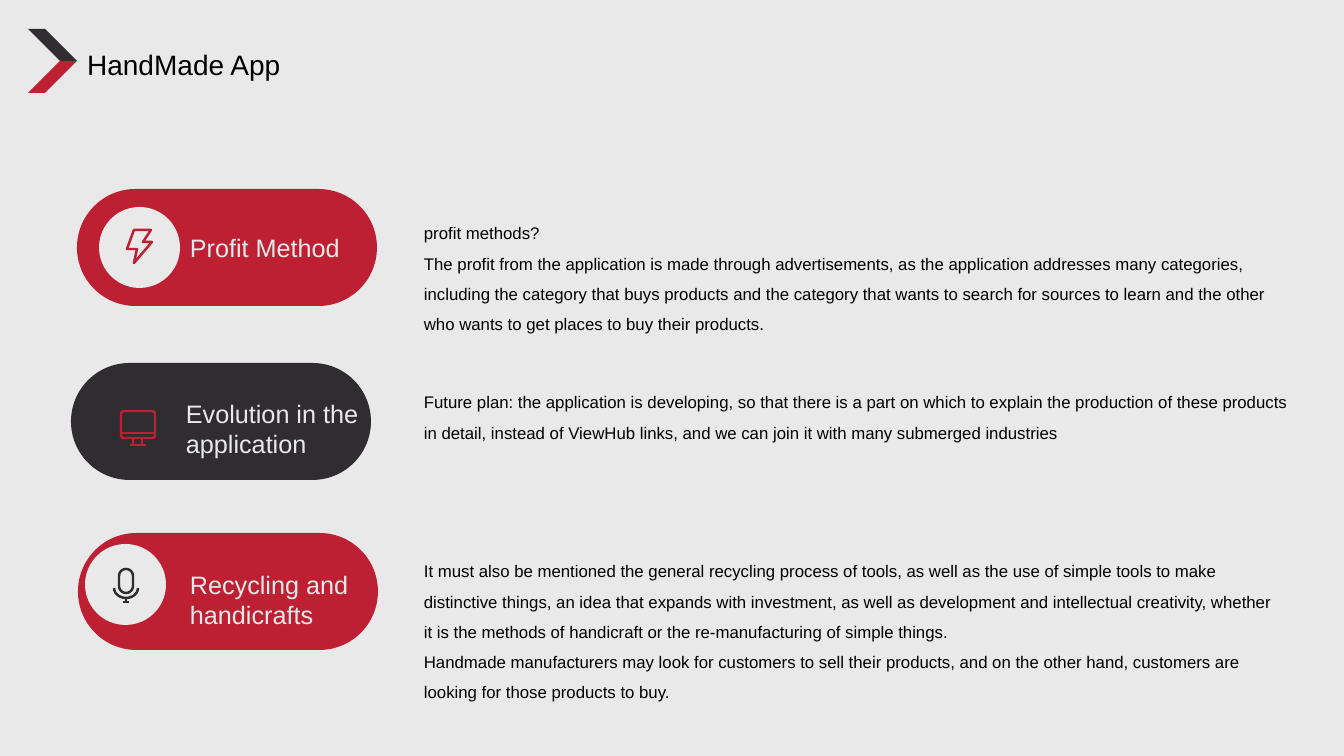
from math import cos, pi, sin

from pptx import Presentation
from pptx.dml.color import RGBColor
from pptx.enum.shapes import MSO_SHAPE
from pptx.enum.text import MSO_ANCHOR, MSO_AUTO_SIZE, PP_ALIGN
from pptx.util import Emu, Pt

PX = 914400 / 100.8
COLORS = {"paper": "E9E9E9", "red": "BE2033", "dark": "302D31", "black": "000000"}
PILL_SIZE = (300, 117)
DISC_SIZE = (81, 81)
BODY_LEFT = 414


def px(length):
    return Emu(round(length * PX))


def rgb(name):
    return RGBColor.from_string(COLORS[name])


def place(shape, box):
    shape.left, shape.top, shape.width, shape.height = map(px, box)


def write(shape, *paragraphs, size, color="black", spacing=1.0):
    frame = shape.text_frame
    frame.word_wrap = True
    frame.auto_size = MSO_AUTO_SIZE.NONE
    frame.vertical_anchor = MSO_ANCHOR.TOP
    for index, text in enumerate(paragraphs):
        paragraph = frame.add_paragraph() if index else frame.paragraphs[0]
        paragraph.alignment = PP_ALIGN.LEFT
        paragraph.line_spacing = spacing
        run = paragraph.add_run()
        run.text = text
        run.font.name = "Arial"
        run.font.size = Pt(size)
        run.font.color.rgb = rgb(color)


def add_text(slide, box, *paragraphs, **text_format):
    write(slide.shapes.add_textbox(*map(px, box)), *paragraphs, **text_format)


def fill_shape(shape, color):
    shape.shadow.inherit = False
    shape.fill.solid()
    shape.fill.fore_color.rgb = rgb(color)
    shape.line.fill.background()


def add_preset(slide, preset, box, color):
    shape = slide.shapes.add_shape(preset, *map(px, box))
    fill_shape(shape, color)
    return shape


def add_outline(slide, origin, contours):
    """Build one freeform from (points, closed) contours given relative to origin."""
    builder = None
    for points, closed in contours:
        start, *rest = [(px(origin[0] + x), px(origin[1] + y)) for x, y in points]
        if builder is None:
            builder = slide.shapes.build_freeform(*start)
        else:
            builder.move_to(*start)
        builder.add_line_segments(rest, close=closed)
    return builder.convert_to_shape()


def arc(center, radii, start, end, steps=12):
    """Points on an ellipse; angles in half turns, clockwise from the right."""
    angles = [pi * (start + (end - start) * step / steps) for step in range(steps + 1)]
    return [(center[0] + radii[0] * cos(a), center[1] + radii[1] * sin(a)) for a in angles]


def rounded(left, top, right, bottom, radius):
    corners = [(right - radius, bottom - radius), (left + radius, bottom - radius),
               (left + radius, top + radius), (right - radius, top + radius)]
    return [point for quarter, center in enumerate(corners)
            for point in arc(center, (radius, radius), quarter / 2, quarter / 2 + 0.5, 6)]


ICONS = {
    "bolt": [([(8, 1), (25, 1), (17, 13), (26, 13), (8, 34), (11, 20), (1, 20)], True)],
    "monitor": [
        (rounded(1, 1, 35, 28, 3), True),
        ([(1, 23), (35, 23)], False),
        ([(13, 28), (13, 35)], False),
        ([(22, 28), (22, 35)], False),
        ([(10, 35), (26, 35)], False),
    ],
    "microphone": [
        (rounded(6, 2, 20, 26, 7), True),
        (arc((13, 21), (12, 10), 0, 1), False),
        ([(13, 31), (13, 35)], False),
        ([(10, 35), (16, 35)], False),
    ],
}


def add_icon(slide, origin, name, color):
    icon = add_outline(slide, origin, ICONS[name])
    icon.shadow.inherit = False
    icon.fill.background()
    icon.line.color.rgb = rgb(color)
    icon.line.width = Pt(1.75)


def add_header(slide, left, top):
    upper = [(0, 0), (17, 0), (49, 32), (32, 32)]
    lower = [(x, 64 - y) for x, y in upper]
    for points, color in ((upper, "dark"), (lower, "red")):
        fill_shape(add_outline(slide, (left, top), [(points, True)]), color)
    title = slide.shapes.title
    place(title, (left + 49, top + 13, 328, 44))
    write(title, "HandMade App", size=20)


def add_topic(slide, left, top, *, color, caption, caption_box, icon, icon_at,
              icon_color, body, body_box, disc_at=None):
    """Draw a pill with its icon and caption, and the body text beside it."""
    pill = add_preset(slide, MSO_SHAPE.ROUNDED_RECTANGLE, (left, top, *PILL_SIZE), color)
    pill.adjustments[0] = 0.5
    if disc_at:
        disc_box = (left + disc_at[0], top + disc_at[1], *DISC_SIZE)
        add_preset(slide, MSO_SHAPE.OVAL, disc_box, "paper")
    add_icon(slide, (left + icon_at[0], top + icon_at[1]), icon, icon_color)
    dx, dy, width, height = caption_box
    add_text(slide, (left + dx, top + dy, width, height), caption, size=18, color="paper")
    dy, width, height = body_box
    add_text(slide, (BODY_LEFT, top + dy, width, height), *body, size=12, spacing=1.5)


TOPICS = [
    dict(left=77, top=189, color="red", disc_at=(22, 18),
         caption="Profit Method", caption_box=(103, 38, 186, 40),
         icon="bolt", icon_at=(49, 40), icon_color="red", body_box=(19, 889, 129),
         body=["profit methods?",
               "The profit from the application is made through advertisements, as the "
               "application addresses many categories, including the category that buys "
               "products and the category that wants to search for sources to learn and "
               "the other who wants to get places to buy their products."]),
    dict(left=71, top=363, color="dark",
         caption="Evolution in the application", caption_box=(105, 30, 203, 72),
         icon="monitor", icon_at=(49, 47), icon_color="red", body_box=(14, 896, 68),
         body=["Future plan: the application is developing, so that there is a part on "
               "which to explain the production of these products in detail, instead of "
               "ViewHub links, and we can join it with many submerged industries"]),
    dict(left=78, top=533, color="red", disc_at=(7, 11),
         caption="Recycling and handicrafts", caption_box=(102, 31, 203, 72),
         icon="microphone", icon_at=(35, 34), icon_color="dark", body_box=(13, 879, 159),
         body=["It must also be mentioned the general recycling process of tools, as well "
               "as the use of simple tools to make distinctive things, an idea that "
               "expands with investment, as well as development and intellectual "
               "creativity, whether it is the methods of handicraft or the "
               "re-manufacturing of simple things.",
               "Handmade manufacturers may look for customers to sell their products, and "
               "on the other hand, customers are looking for those products to buy."]),
]


def main():
    deck = Presentation()
    deck.slide_width, deck.slide_height = px(1344), px(756)
    slide = deck.slides.add_slide(deck.slide_layouts[5])
    slide.background.fill.solid()
    slide.background.fill.fore_color.rgb = rgb("paper")
    add_header(slide, 28, 29)
    for topic in TOPICS:
        add_topic(slide, **topic)
    deck.save("out.pptx")


if __name__ == "__main__":
    main()
